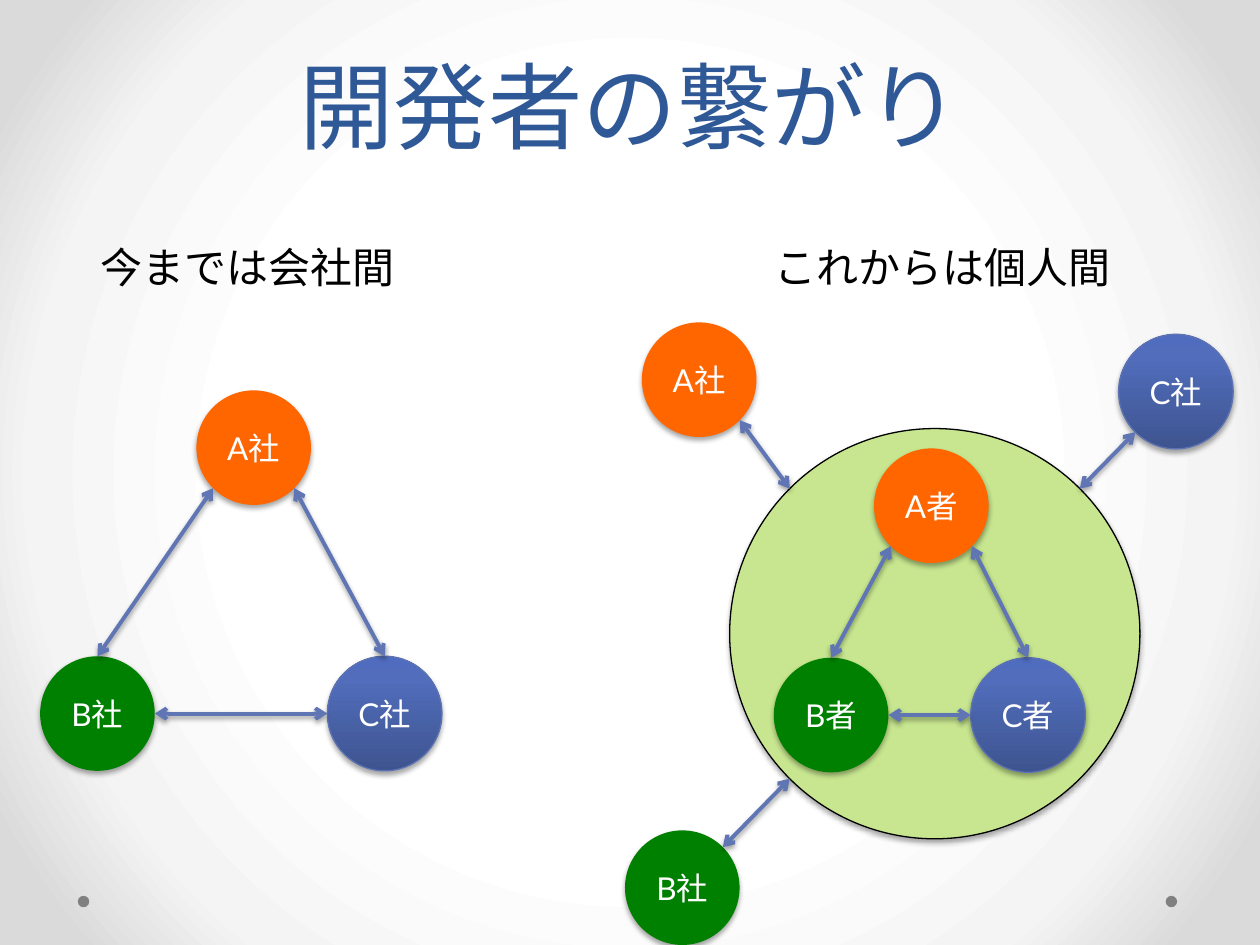
import math

import pptx
import pptx.dml.color
import pptx.enum.shapes
import pptx.enum.text
import pptx.oxml
import pptx.oxml.ns
import pptx.util
from lxml import etree
from pptx.util import Cm, Pt

COLORS = {
    "title": "2F5897", "text": "000000", "label": "FFFFFF", "dot": "808080",
    "community": "C7E68F", "A": "FF6600", "B": "008000",
    "C_line": "5C72B2", "arrow": "6076B4",
}
RGB = {name: pptx.dml.color.RGBColor.from_string(value) for name, value in COLORS.items()}
C_STOPS = [(0, "3E5490"), (80, "516DBB"), (100, "4F6CBE")]
PAGE_STOPS = [(50, "FFFFFF"), (76, "F4F4F4"), (92, "DADADA")]
FONT = "Lato"
OVAL = pptx.enum.shapes.MSO_SHAPE.OVAL
DIAMETER = 2.31
qn = pptx.oxml.ns.qn


def gradient(stops, direction):
    """Return a gradFill element; direction is its a:lin or a:path markup."""
    marks = "".join(
        f'<a:gs pos="{percent * 1000}"><a:srgbClr val="{color}"/></a:gs>'
        for percent, color in stops)
    return pptx.oxml.parse_xml(
        f'<a:gradFill {pptx.oxml.ns.nsdecls("a")} rotWithShape="1">'
        f'<a:gsLst>{marks}</a:gsLst>{direction}</a:gradFill>')


def add_shadow(item, opacity, distance):
    """Give a shape or connector a soft shadow straight below it."""
    effects = etree.SubElement(item._element.spPr, qn("a:effectLst"))
    shadow = etree.SubElement(
        effects, qn("a:outerShdw"), blurRad=str(Pt(3.1)), dist=str(Pt(distance)),
        dir="5400000", rotWithShape="0")
    color = etree.SubElement(shadow, qn("a:srgbClr"), val="000000")
    etree.SubElement(color, qn("a:alpha"), val=str(opacity * 1000))


deck = pptx.Presentation()
deck.slide_width, deck.slide_height = Cm(25.4), Cm(19.05)
page = deck.slides.add_slide(deck.slide_layouts[5])

# Background: white centre, grey corners
page.background.fill.solid()
background = page.background._cSld.bg.bgPr
background.replace(background[0], gradient(
    PAGE_STOPS, '<a:path path="circle">'
    '<a:fillToRect l="50000" t="50000" r="50000" b="50000"/></a:path>'))

for left in (23.5, 1.57):
    dot = page.shapes.add_shape(OVAL, Cm(left), Cm(18.06), Cm(0.23), Cm(0.23))
    dot.shadow.inherit = False
    dot.fill.solid()
    dot.fill.fore_color.rgb = RGB["dot"]
    dot.line.fill.background()

# Title
title = page.shapes.title
title.left, title.top, title.width, title.height = Cm(1.27), Cm(0), Cm(22.86), Cm(4.45)
title.text_frame.text = "開発者の繋がり"
title.text_frame.vertical_anchor = pptx.enum.text.MSO_ANCHOR.MIDDLE
title.text_frame.auto_size = pptx.enum.text.MSO_AUTO_SIZE.NONE
para = title.text_frame.paragraphs[0]
para.alignment = pptx.enum.text.PP_ALIGN.CENTER
para.line_spacing = Pt(58)
span = para.runs[0]
span.font.name, span.font.size = FONT, Pt(54)
span.font.color.rgb = RGB["title"]

# Headings of the two halves
for text, left, width in (("今までは会社間", 1.78, 6.5), ("これからは個人間", 15.37, 7.34)):
    box = page.shapes.add_textbox(Cm(left), Cm(4.75), Cm(width), Cm(1.27))
    box.text_frame.text = text
    box.text_frame.word_wrap = False
    box.text_frame.auto_size = pptx.enum.text.MSO_AUTO_SIZE.SHAPE_TO_FIT_TEXT
    span = box.text_frame.paragraphs[0].runs[0]
    span.font.name, span.font.size = FONT, Pt(24)
    span.font.color.rgb = RGB["text"]

# Circles: key -> text, left, top, diameter
circles = {
    "community": ("", 14.71, 8.64, 8.27),
    "old A": ("A社", 3.96, 7.87, DIAMETER),
    "old B": ("B社", 0.81, 13.23, DIAMETER),
    "old C": ("C社", 6.6, 13.23, DIAMETER),
    "person A": ("A者", 17.62, 9.04, DIAMETER),
    "person B": ("B者", 15.6, 13.26, DIAMETER),
    "person C": ("C者", 19.57, 13.26, DIAMETER),
    "new A": ("A社", 12.94, 6.5, DIAMETER),
    "new B": ("B社", 12.6, 16.74, DIAMETER),
    "new C": ("C社", 22.55, 6.74, DIAMETER),
}
for text, left, top, diameter in circles.values():
    circle = page.shapes.add_shape(OVAL, Cm(left), Cm(top), Cm(diameter), Cm(diameter))
    member = text[:1] or "community"
    if member == "C":
        circle._element.spPr.insert(2, gradient(C_STOPS, '<a:lin ang="16200000" scaled="0"/>'))
    else:
        circle.fill.solid()
        circle.fill.fore_color.rgb = RGB[member]
    if member in ("A", "B"):
        circle.line.fill.background()
    else:
        circle.line.color.rgb = RGB["C_line" if member == "C" else "text"]
        circle.line.width = Pt(0.75)
    add_shadow(circle, 35, 1.8)
    if text:
        circle.text_frame.text = text
        circle.text_frame.vertical_anchor = pptx.enum.text.MSO_ANCHOR.MIDDLE
        para = circle.text_frame.paragraphs[0]
        para.alignment = pptx.enum.text.PP_ALIGN.CENTER
        span = para.runs[0]
        span.font.name, span.font.size = FONT, Pt(18)
        span.font.color.rgb = RGB["label"]

# Arrows: circle and angle on its rim (degrees clockwise from the right), for both ends
arrows = [
    ("old B", 270, "old A", 135),
    ("old B", 0, "old C", 180),
    ("old C", 270, "old A", 45),
    ("person B", 270, "person A", 135),
    ("person B", 0, "person C", 180),
    ("person C", 270, "person A", 45),
    ("community", 225, "new A", 45),
    ("community", 135, "new B", 315),
    ("community", 315, "new C", 135),
]
for start, start_angle, end, end_angle in arrows:
    points = []
    for key, angle in ((start, start_angle), (end, end_angle)):
        text, left, top, diameter = circles[key]
        radius = diameter / 2
        points.append(Cm(left + radius + radius * math.cos(math.radians(angle))))
        points.append(Cm(top + radius + radius * math.sin(math.radians(angle))))
    arrow = page.shapes.add_connector(pptx.enum.shapes.MSO_CONNECTOR.STRAIGHT, *points)
    arrow.line.color.rgb = RGB["arrow"]
    arrow.line.width = Pt(2.25)
    for tip in ("a:headEnd", "a:tailEnd"):
        etree.SubElement(arrow.line._get_or_add_ln(), qn(tip), type="arrow")
    add_shadow(arrow, 38, 1.6)

deck.save("out.pptx")
